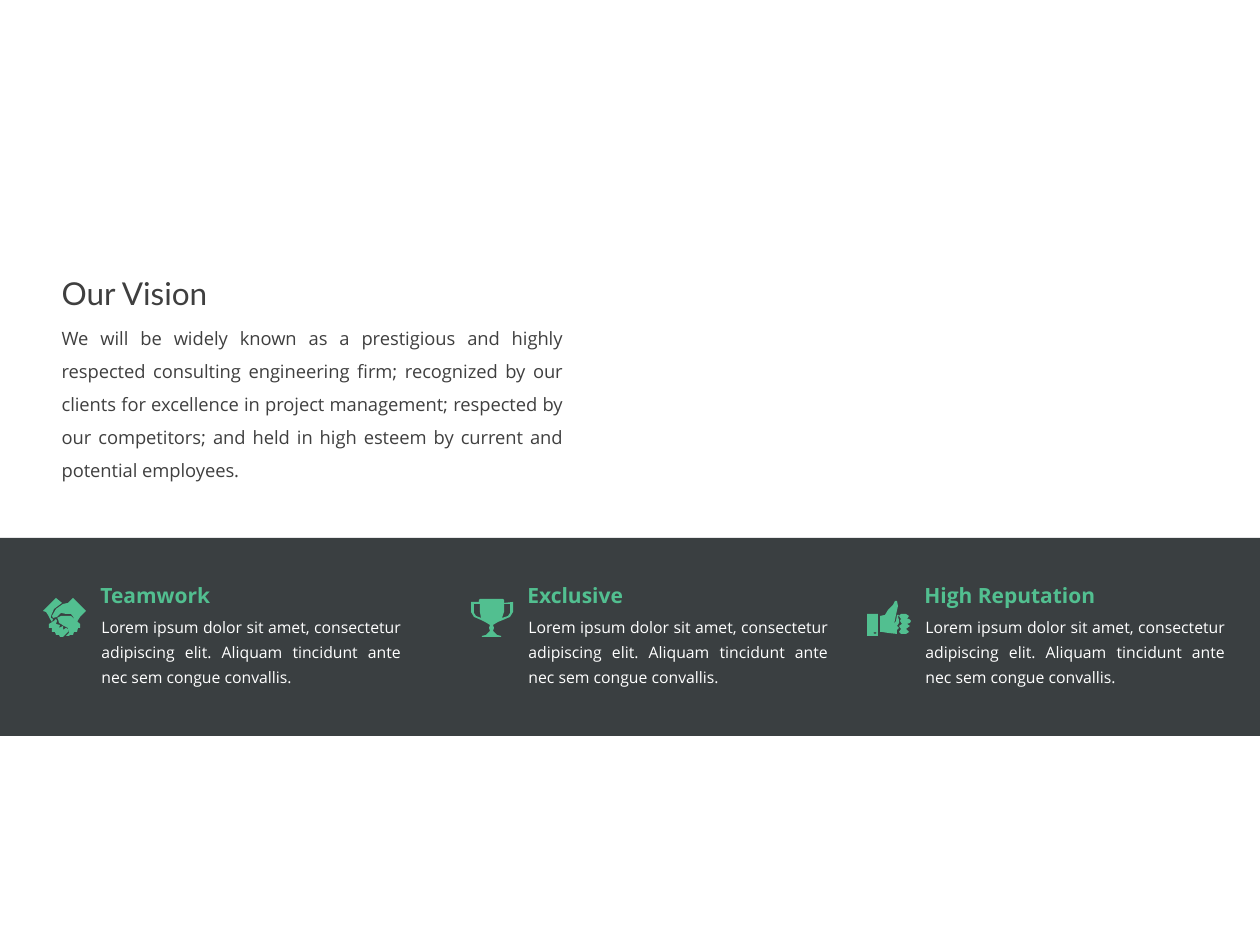
"""Build the vision slide with its band of three company strengths."""
import dataclasses
import typing

import lxml.etree
import pptx
import pptx.dml.color
import pptx.enum.shapes
import pptx.enum.text
import pptx.oxml.ns
import pptx.util

PX = 914400 / 126
ALIGN = pptx.enum.text.PP_ALIGN
ANCHOR = pptx.enum.text.MSO_ANCHOR
Outline = list[tuple[int, int]]


@dataclasses.dataclass(frozen=True)
class Theme:
    ink: str = "3F3F3F"
    band: str = "181E20"
    accent: str = "52BF90"
    light: str = "FFFFFF"
    title_font: str = "Lato"
    body_font: str = "Open Sans"
    title_size: float = 18
    body_size: float = 10.5
    heading_size: float = 12
    detail_size: float = 9


class Box(typing.NamedTuple):
    left: int
    top: int
    width: int
    height: int


class TextStyle(typing.NamedTuple):
    font: str
    size: float
    color: str
    bold: bool = False
    align: ALIGN = ALIGN.LEFT
    spacing: float = 1.0
    anchor: ANCHOR = ANCHOR.TOP
    inset: float = 0.05


@dataclasses.dataclass(frozen=True)
class Strength:
    heading: str
    left: int
    icon_left: int
    icon_top: int
    outlines: list[Outline]


THEME = Theme()
TITLE = TextStyle(THEME.title_font, THEME.title_size, THEME.ink)
VISION = TextStyle(THEME.body_font, THEME.body_size, THEME.ink,
                   align=ALIGN.JUSTIFY, spacing=1.5)
HEADING = TextStyle(THEME.body_font, THEME.heading_size, THEME.accent,
                    bold=True, anchor=ANCHOR.MIDDLE, inset=0)
DETAIL = TextStyle(THEME.body_font, THEME.detail_size, THEME.light,
                   align=ALIGN.JUSTIFY, spacing=1.3, anchor=ANCHOR.MIDDLE)

VISION_TEXT = (
    "We will be widely known as a prestigious and highly respected consulting "
    "engineering firm; recognized by our clients for excellence in project "
    "management; respected by our competitors; and held in high esteem by "
    "current and potential employees."
)
DETAIL_TEXT = (
    "Lorem ipsum dolor sit amet, consectetur adipiscing elit. "
    "Aliquam tincidunt ante nec sem congue convallis."
)

HANDSHAKE: list[Outline] = [
    [(6, 19), (5, 17), (3, 14), (0, 13), (13, 0), (19, 5), (15, 8), (11, 11),
     (8, 18), (8, 20), (10, 21), (9, 24), (7, 21)],
    [(28, 18), (18, 18), (14, 20), (15, 21), (16, 25), (18, 26), (21, 28),
     (25, 30), (26, 35), (23, 38), (26, 38), (27, 37), (30, 37), (31, 34),
     (34, 34), (35, 30), (37, 30), (37, 26)],
    [(25, 31), (23, 30), (20, 32), (20, 28), (16, 30), (17, 27), (13, 26),
     (14, 23), (13, 21), (11, 23), (6, 26), (6, 30), (9, 30), (9, 34),
     (12, 34), (13, 37), (16, 37), (17, 39), (20, 39), (25, 34)],
    [(30, 0), (25, 5), (20, 6), (13, 11), (9, 18), (10, 20), (14, 19),
     (18, 15), (23, 16), (28, 16), (34, 24), (37, 19), (38, 18), (43, 13)],
]
TROPHY: list[Outline] = [
    [(33, 4), (33, 1), (32, 0), (9, 0), (8, 1), (8, 3), (0, 3), (0, 13),
     (3, 18), (10, 21), (14, 23), (19, 26), (18, 29), (19, 32), (15, 36),
     (11, 37), (11, 38), (30, 38), (30, 37), (26, 36), (22, 32), (23, 29),
     (22, 26), (27, 23), (32, 21), (39, 18), (42, 13), (42, 3)],
    [(10, 19), (5, 17), (3, 14), (3, 5), (9, 5), (9, 13)],
    [(39, 14), (37, 17), (31, 19), (33, 13), (33, 5), (39, 5)],
]
THUMB: list[Outline] = [
    [(30, 32), (30, 34), (21, 33), (15, 32), (13, 32), (13, 16), (18, 15),
     (21, 10), (26, 5), (28, 1), (30, 1), (31, 6), (29, 15), (28, 20),
     (27, 24), (29, 21), (30, 15), (32, 15), (31, 17), (32, 20), (32, 23),
     (30, 26), (32, 28), (30, 30)],
    [(44, 21), (42, 19), (40, 19), (42, 16), (39, 14), (34, 14), (32, 16),
     (34, 19), (33, 21), (35, 24), (32, 26), (34, 29), (32, 32), (34, 34),
     (39, 34), (42, 32), (39, 29), (43, 26), (40, 24), (43, 23)],
    [(0, 14), (11, 14), (11, 36), (0, 36)],
    [(6, 33), (8, 34), (10, 33), (8, 32)],
]

STRENGTHS = [
    Strength("Teamwork", 88, 43, 598, HANDSHAKE),
    Strength("Exclusive", 515, 471, 599, TROPHY),
    Strength("High Reputation", 912, 867, 600, THUMB),
]


def emu(box: Box) -> list[int]:
    """Turn a box in px into EMU lengths."""
    return [round(length * PX) for length in box]


def set_all(target: typing.Any, values: dict[str, typing.Any]) -> None:
    """Set every named attribute on the target."""
    for name, value in values.items():
        setattr(target, name, value)


def write(holder: typing.Any, text: str, style: TextStyle) -> None:
    """Write one formatted paragraph into a text holder."""
    frame = holder.text_frame
    frame.text = text
    inset = pptx.util.Inches(style.inset)
    set_all(frame, {
        "word_wrap": True, "auto_size": pptx.enum.text.MSO_AUTO_SIZE.NONE,
        "vertical_anchor": style.anchor,
        "margin_top": inset, "margin_bottom": inset,
    })
    paragraph = frame.paragraphs[0]
    set_all(paragraph, {
        "alignment": style.align, "line_spacing": style.spacing,
        "space_before": pptx.util.Pt(0),
    })
    font = paragraph.runs[0].font
    set_all(font, {"name": style.font, "size": pptx.util.Pt(style.size),
                   "bold": style.bold})
    font.color.rgb = pptx.dml.color.RGBColor.from_string(style.color)


def fill_placeholder(holder: typing.Any, box: Box, text: str, style: TextStyle) -> None:
    """Move a placeholder and write its text without a bullet."""
    set_all(holder, dict(zip(("left", "top", "width", "height"), emu(box))))
    write(holder, text, style)
    properties = holder.text_frame.paragraphs[0]._p.get_or_add_pPr()
    set_all_xml = {"marL": "0", "indent": "0"}
    for name, value in set_all_xml.items():
        properties.set(name, value)
    lxml.etree.SubElement(properties, pptx.oxml.ns.qn("a:buNone"))


def paint(shape: typing.Any, color: str) -> None:
    """Give a shape a plain fill without line or shadow."""
    shape.shadow.inherit = False
    shape.fill.solid()
    shape.fill.fore_color.rgb = pptx.dml.color.RGBColor.from_string(color)
    shape.line.fill.background()


def draw_band(shapes: typing.Any) -> None:
    """Draw the translucent dark band."""
    band = shapes.add_shape(pptx.enum.shapes.MSO_SHAPE.RECTANGLE,
                            *emu(Box(0, 538, 1260, 198)))
    paint(band, THEME.band)
    color = band.element.xpath("./p:spPr/a:solidFill/a:srgbClr")[0]
    lxml.etree.SubElement(color, pptx.oxml.ns.qn("a:alpha"), val="85000")


def draw_strength(shapes: typing.Any, strength: Strength) -> None:
    """Draw one strength with its heading, detail and icon."""
    heading = shapes.add_textbox(*emu(Box(strength.left, 583, 252, 25)))
    write(heading, strength.heading, HEADING)
    detail = shapes.add_textbox(*emu(Box(strength.left + 1, 606, 324, 87)))
    write(detail, DETAIL_TEXT, DETAIL)

    contours = [[(strength.icon_left + x, strength.icon_top + y) for x, y in outline]
                for outline in strength.outlines]
    builder = shapes.build_freeform(*contours[0][0], scale=PX)
    for index, contour in enumerate(contours):
        if index:
            builder.move_to(*contour[0])
        builder.add_line_segments(contour[1:], close=True)
    paint(builder.convert_to_shape(), THEME.accent)


def main() -> None:
    """Build and save the slide."""
    deck = pptx.Presentation()
    set_all(deck, {"slide_width": pptx.util.Inches(10),
                   "slide_height": pptx.util.Inches(7.5)})
    slide = deck.slides.add_slide(deck.slide_layouts[1])
    fill_placeholder(slide.shapes.title, Box(49, 268, 410, 50), "Our Vision", TITLE)
    fill_placeholder(slide.placeholders[1], Box(49, 310, 527, 158), VISION_TEXT, VISION)
    draw_band(slide.shapes)
    for strength in STRENGTHS:
        draw_strength(slide.shapes, strength)
    deck.save("out.pptx")


if __name__ == "__main__":
    main()
